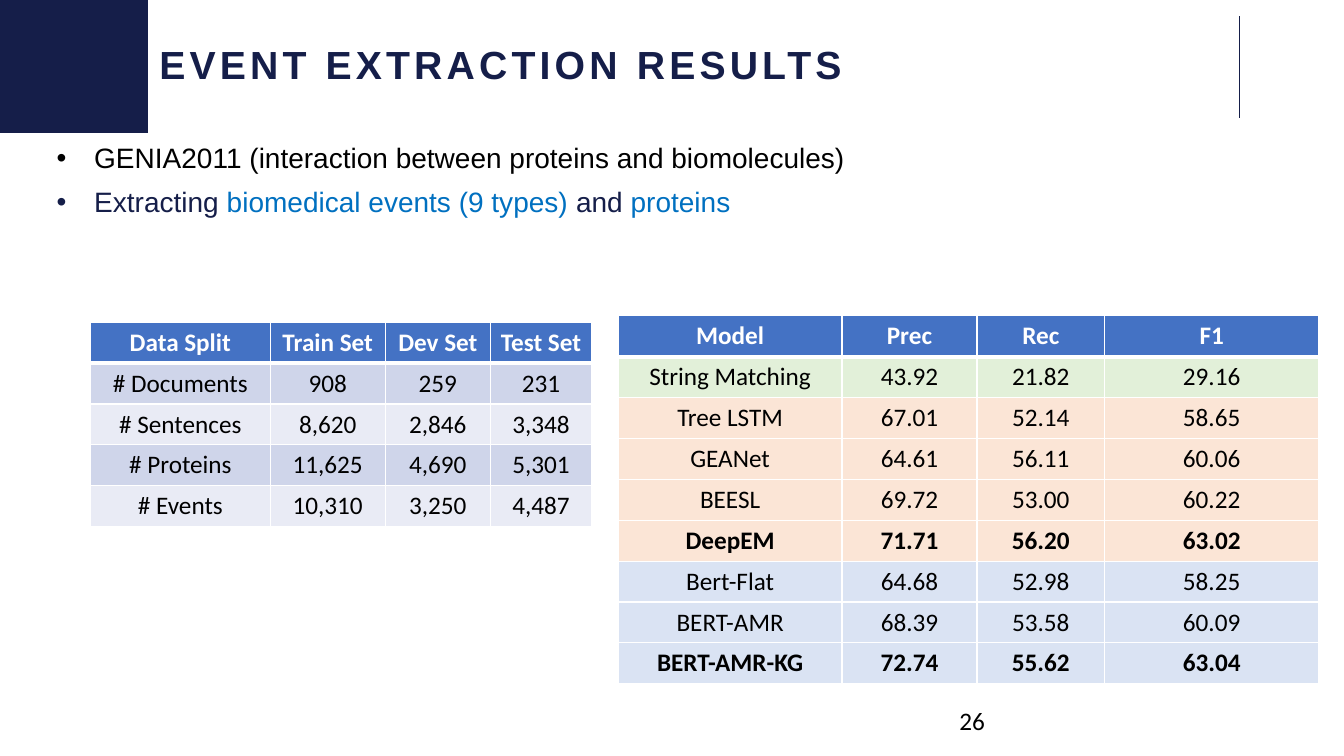
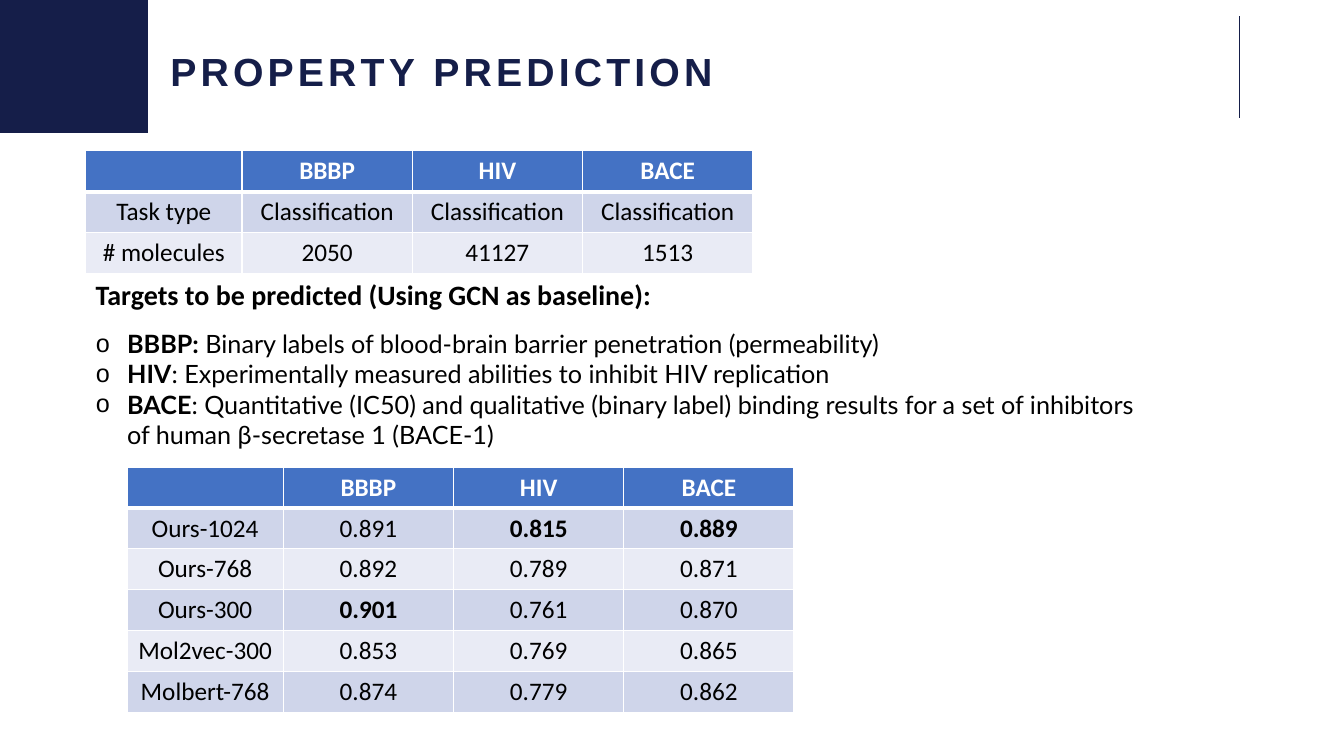
from dataclasses import dataclass
from typing import NamedTuple

from lxml.etree import SubElement as Sub
from pptx import Presentation
from pptx.dml.color import RGBColor as Rgb
from pptx.enum.shapes import MSO_CONNECTOR as Wire, MSO_SHAPE as Form
from pptx.enum.text import MSO_ANCHOR as Anchor, MSO_AUTO_SIZE as Fit, PP_ALIGN as Align
from pptx.oxml.ns import qn
from pptx.util import Cm, Pt

HUE = {
    "navy": "151E49", "blue": "0070C0", "black": "000000", "white": "FFFFFF",
    "head": "4472C4", "dark": "CFD5EA", "light": "E9EBF5",
    "green": "E2F0D9", "peach": "FBE5D6", "sky": "DAE3F3",
}
ROW = 1.03  # table row height in cm


class Box(NamedTuple):
    left: float
    top: float
    width: float
    height: float


class Bit(NamedTuple):
    """A stretch of text in one format."""
    text: str
    hue: str = "black"
    bold: bool = False


@dataclass
class Bullets:
    box: Box
    mark: str
    font: str
    size: float
    hang: float
    lead: float
    gap: float
    items: list[list[Bit]]


@dataclass
class Grid:
    """A table; cells that start with * are bold, fills go row by row below the head."""
    left: float
    top: float
    cols: list[float]
    fills: list[str]
    rows: list[tuple[str, ...]]
    anchor: Anchor = Anchor.TOP


def rgb(hue: str) -> Rgb:
    return Rgb.from_string(HUE[hue])


def place(shape, box: Box) -> None:
    for name, size in box._asdict().items():
        setattr(shape, name, Cm(size))


def write(para, bit: Bit, font: str, size: float):
    run = para.add_run()
    run.text = bit.text
    for name, value in {"name": font, "size": Pt(size), "bold": bit.bold}.items():
        setattr(run.font, name, value)
    run.font.color.rgb = rgb(bit.hue)
    return run


def frame(slide) -> None:
    """Draw the corner block and the rule beside the title."""
    block = slide.shapes.add_shape(Form.RECTANGLE, 0, 0, Cm(3.73), Cm(3.35))
    block.shadow.inherit = False
    block.fill.solid()
    block.fill.fore_color.rgb = rgb("navy")
    block.line.fill.background()
    rule = slide.shapes.add_connector(
        Wire.STRAIGHT, Cm(31.24), Cm(0.41), Cm(31.24), Cm(2.97))
    rule.line.color.rgb = rgb("navy")
    rule.line.width = Pt(1)
    Sub(rule._element.spPr, qn("a:effectLst"))


def head(slide, text: str, box: Box) -> None:
    title = slide.shapes.title
    place(title, box)
    area = title.text_frame
    area.auto_size, area.vertical_anchor = Fit.NONE, Anchor.MIDDLE
    para = area.paragraphs[0]
    para.alignment, para.line_spacing = Align.LEFT, 0.9
    run = write(para, Bit(text, "navy", True), "Arial", 28)
    run.font._element.set("spc", "300")


def fill_list(slide, spec: Bullets) -> None:
    body = slide.placeholders[1]
    place(body, spec.box)
    area = body.text_frame
    area.auto_size = Fit.NONE
    for i, item in enumerate(spec.items):
        para = area.add_paragraph() if i else area.paragraphs[0]
        props = para._p.get_or_add_pPr()
        props.set("marL", str(Cm(spec.hang)))
        props.set("indent", str(-Cm(spec.hang)))
        Sub(props, qn("a:buFont"), typeface="Arial")
        Sub(props, qn("a:buChar"), char=spec.mark)
        para.line_spacing = spec.lead
        para.space_before = Pt(spec.gap if i else 0)
        for bit in item:
            write(para, bit, spec.font, spec.size)


def label(slide, text: str, box: Box, size: float, bold: bool = False) -> None:
    note = slide.shapes.add_textbox(*map(Cm, box))
    note.text_frame.word_wrap = True
    write(note.text_frame.paragraphs[0], Bit(text, bold=bold), "Calibri", size)


def edge(cell, row: int) -> None:
    """Give a cell white borders, thick between head and body."""
    props = cell._tc.get_or_add_tcPr()
    for side in "LRTB":
        thick = (row, side) in ((0, "B"), (1, "T"))
        line = Sub(props, qn(f"a:ln{side}"), w=str(Pt(3 if thick else 1)))
        Sub(Sub(line, qn("a:solidFill")), qn("a:srgbClr"), val=HUE["white"])


def draw(slide, grid: Grid) -> None:
    count = len(grid.rows)
    table = slide.shapes.add_table(
        count, len(grid.cols), Cm(grid.left), Cm(grid.top),
        Cm(sum(grid.cols)), Cm(ROW * count)).table
    table.horz_banding = False
    for col, width in zip(table.columns, grid.cols):
        col.width = Cm(width)
    for r, (row, hue) in enumerate(zip(grid.rows, ["head", *grid.fills])):
        table.rows[r].height = Cm(ROW)
        for c, text in enumerate(row):
            cell = table.cell(r, c)
            edge(cell, r)
            cell.fill.solid()
            cell.fill.fore_color.rgb = rgb(hue)
            cell.vertical_anchor = grid.anchor
            para = cell.text_frame.paragraphs[0]
            para.alignment = Align.CENTER
            if text:
                bold = r == 0 or text.startswith("*")
                ink = "black" if r else "white"
                write(para, Bit(text.lstrip("*"), ink, bold), "Calibri", 18)


BANDS = ["dark", "light"]
TASKS = ("", "BBBP", "HIV", "BACE")
TASK_COLS = [3.94] + [4.29] * 3

EVENTS = Bullets(Box(1.17, 3.51, 29.79, 8.31), "•", "Arial", 20, 0.95, 0.9, 10, [
    [Bit("GENIA2011 (interaction between proteins and biomolecules)")],
    [Bit("Extracting ", "navy"), Bit("biomedical events (9 types) ", "blue"),
     Bit("and ", "navy"), Bit("proteins", "blue")],
])
SPLIT = Grid(2.28, 8.12, [4.53, 2.9, 2.65, 2.55], BANDS * 2, [
    ("Data Split", "Train Set", "Dev Set", "Test Set"),
    ("# Documents", "908", "259", "231"),
    ("# Sentences", "8,620", "2,846", "3,348"),
    ("# Proteins", "11,625", "4,690", "5,301"),
    ("# Events", "10,310", "3,250", "4,487"),
], Anchor.MIDDLE)
SCORES = Grid(15.58, 7.96, [5.64, 3.4, 3.22, 5.39],
              ["green"] + ["peach"] * 4 + ["sky"] * 3, [
    ("Model", "Prec", "Rec", "F1"),
    ("String Matching", "43.92", "21.82", "29.16"),
    ("Tree LSTM", "67.01", "52.14", "58.65"),
    ("GEANet", "64.61", "56.11", "60.06"),
    ("BEESL", "69.72", "53.00", "60.22"),
    ("*DeepEM", "*71.71", "*56.20", "*63.02"),
    ("Bert-Flat", "64.68", "52.98", "58.25"),
    ("BERT-AMR", "68.39", "53.58", "60.09"),
    ("*BERT-AMR-KG", "*72.74", "*55.62", "*63.04"),
], Anchor.MIDDLE)

GOALS = Bullets(Box(2.16, 8.15, 27.38, 3.33), "o", "Lato", 18, 0.79, 1.0, 0, [
    [Bit("BBBP:", bold=True),
     Bit(" Binary labels of blood-brain barrier penetration (permeability)")],
    [Bit("HIV", bold=True),
     Bit(": Experimentally measured abilities to inhibit HIV replication")],
    [Bit("BACE", bold=True),
     Bit(": Quantitative (IC50) and qualitative (binary label) binding results "
         "for a set of inhibitors of human β-secretase 1 (BACE-1)")],
])
DATA = Grid(2.16, 3.8, TASK_COLS, BANDS, [
    TASKS,
    ("Task type",) + ("Classification",) * 3,
    ("# molecules", "2050", "41127", "1513"),
])
TESTS = Grid(3.2, 11.77, TASK_COLS, BANDS * 2 + ["dark"], [
    TASKS,
    ("Ours-1024", "0.891", "*0.815", "*0.889"),
    ("Ours-768", "0.892", "0.789", "0.871"),
    ("Ours-300", "*0.901", "0.761", "0.870"),
    ("Mol2vec-300", "0.853", "0.769", "0.865"),
    ("Molbert-768", "0.874", "0.779", "0.862"),
])


def start(deck, title: str, box: Box, points: Bullets, grids: list[Grid]):
    """Add a slide with its frame, title, list and tables."""
    slide = deck.slides.add_slide(deck.slide_layouts[1])
    frame(slide)
    head(slide, title, box)
    fill_list(slide, points)
    for grid in grids:
        draw(slide, grid)
    return slide


def main() -> None:
    deck = Presentation()
    deck.slide_width, deck.slide_height = Cm(33.87), Cm(19.05)
    events = start(deck, "EVENT EXTRACTION RESULTS", Box(3.76, 0, 24.54, 3.35),
                   EVENTS, [SPLIT, SCORES])
    label(events, "26", Box(23.93, 17.65, 7.62, 1.02), 18)
    traits = start(deck, "PROPERTY PREDICTION", Box(4.04, 0.36, 26.87, 3),
                   GOALS, [DATA, TESTS])
    label(traits, "Targets to be predicted (Using GCN as baseline):",
          Box(2.16, 6.86, 15, 1.12), 20, True)
    deck.save("out.pptx")


if __name__ == "__main__":
    main()
